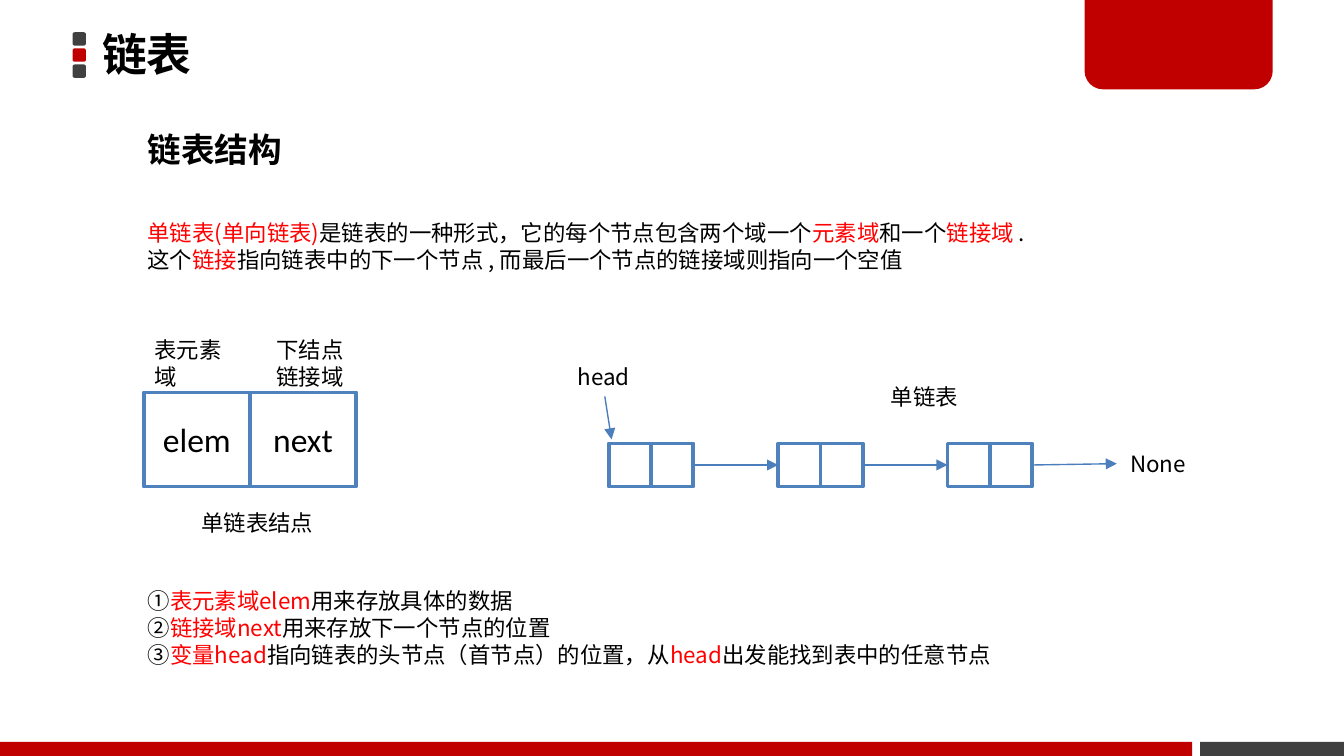
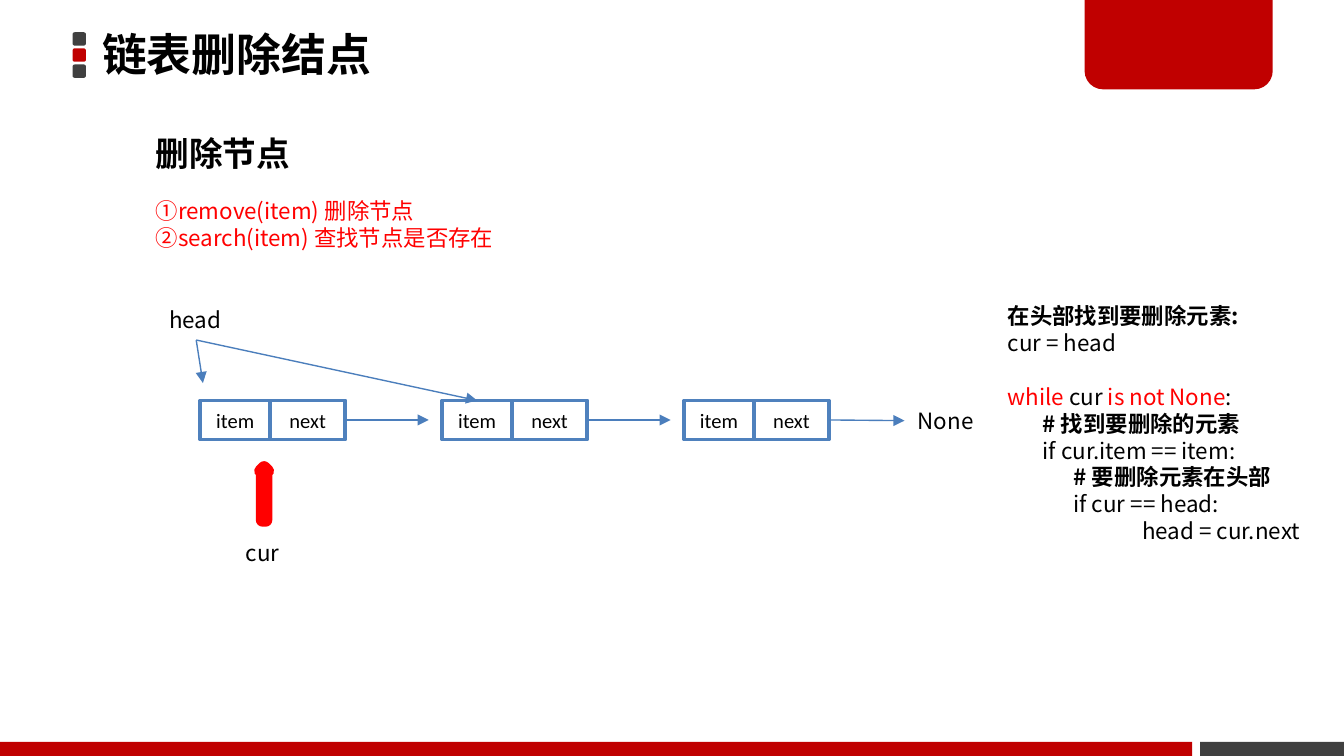
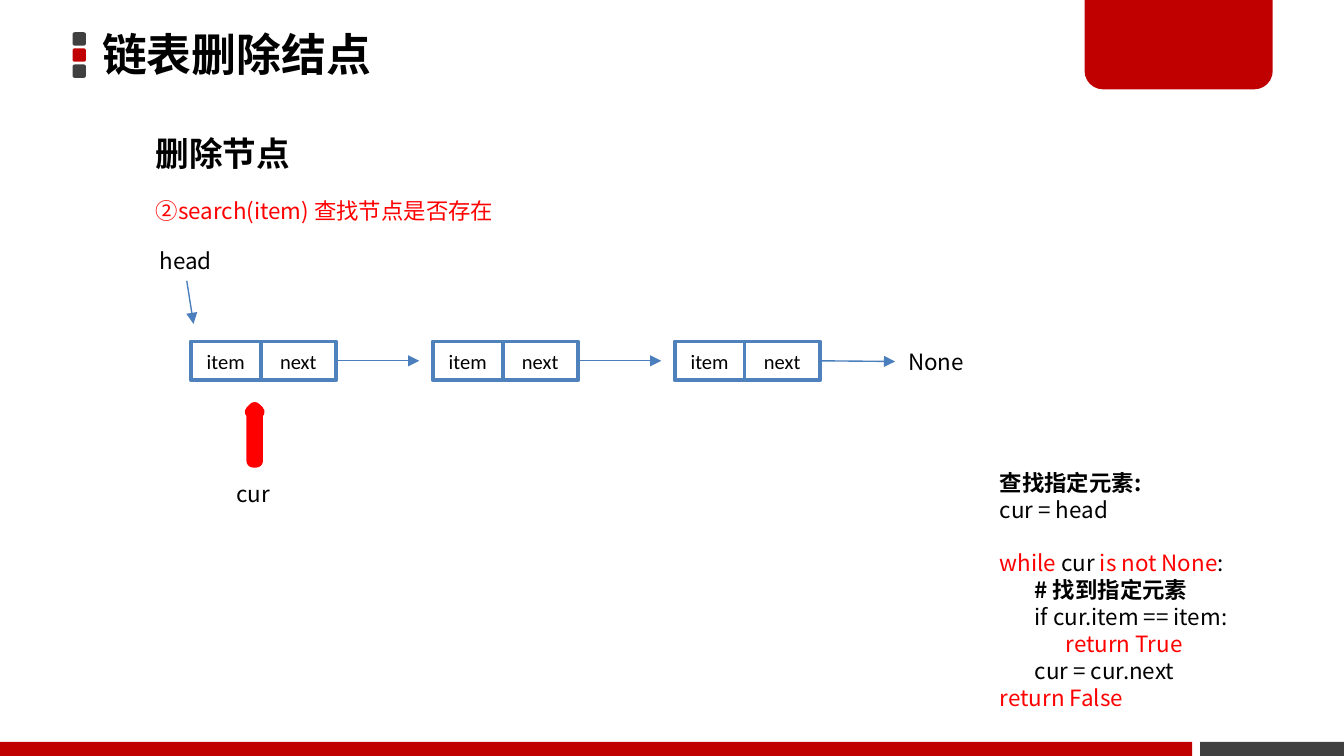
from dataclasses import dataclass

from lxml.etree import SubElement
from pptx import Presentation
from pptx.dml.color import RGBColor
from pptx.enum.shapes import MSO_CONNECTOR, MSO_SHAPE
from pptx.enum.text import MSO_ANCHOR, MSO_AUTO_SIZE, PP_ALIGN
from pptx.oxml.ns import qn
from pptx.util import Inches, Pt

WIDTH, HEIGHT = Inches(10), Inches(5.625)
COLUMNS = 100
UNIT = WIDTH / COLUMNS

BLACK = RGBColor(0x00, 0x00, 0x00)
WHITE = RGBColor(0xFF, 0xFF, 0xFF)
RED = RGBColor(0xFF, 0x00, 0x00)
CRIMSON = RGBColor(0xC0, 0x00, 0x00)
CHARCOAL = RGBColor(0x40, 0x40, 0x40)
NODE_BLUE = RGBColor(0x4F, 0x81, 0xBD)
ARROW_BLUE = RGBColor(0x4B, 0x7E, 0xBC)

BODY_FONT = "Noto Sans CJK SC"
FIELD_FONT = "Calibri"
TOP, LEFT, BOTTOM, RIGHT = range(4)
INDENTS = (0, 2.6, 4.9, 10)
CODE_LINE = Pt(14.4)


@dataclass
class Run:
    text: str
    color: RGBColor = BLACK
    bold: bool = False


@dataclass
class Line:
    runs: list
    level: int = 0
    gap_before: int = 0


def red(text):
    return Run(text, RED)


def bold(text):
    return Run(text, bold=True)


def line(*runs, level=0, gap_before=0):
    return Line([Run(r) if isinstance(r, str) else r for r in runs], level, gap_before)


def grid(*cells):
    return [round(cell * UNIT) for cell in cells]


def write_run(paragraph, content, size, font):
    run = paragraph.add_run()
    run.text = content.text
    run.font.size = Pt(size)
    run.font.name = font
    run.font.bold = content.bold
    run.font.color.rgb = content.color
    SubElement(run.font._element, qn("a:ea")).set("typeface", font)


def write_lines(frame, lines, size, font=BODY_FONT):
    for number, content in enumerate(lines):
        paragraph = frame.add_paragraph() if number else frame.paragraphs[0]
        if content.level:
            margin = grid(INDENTS[content.level])[0]
            paragraph._p.get_or_add_pPr().set("marL", str(margin))
        if content.gap_before:
            paragraph.space_before = content.gap_before
        for run in content.runs:
            write_run(paragraph, run, size, font)


def add_text(slide, box, lines, size=12, wrap=False):
    label = slide.shapes.add_textbox(*grid(*box))
    label.text_frame.word_wrap = wrap
    label.text_frame.auto_size = MSO_AUTO_SIZE.SHAPE_TO_FIT_TEXT
    write_lines(label.text_frame, lines, size)
    return label


def add_block(slide, preset, box, fill):
    block = slide.shapes.add_shape(preset, *grid(*box))
    block.shadow.inherit = False
    block.fill.solid()
    block.fill.fore_color.rgb = fill
    block.line.fill.background()
    return block


def add_field(slide, box, name, size):
    field = add_block(slide, MSO_SHAPE.RECTANGLE, box, WHITE)
    field.line.color.rgb = NODE_BLUE
    field.line.width = Pt(2)
    if name:
        field.text_frame.vertical_anchor = MSO_ANCHOR.MIDDLE
        write_lines(field.text_frame, [line(name)], size, FIELD_FONT)
        field.text_frame.paragraphs[0].alignment = PP_ALIGN.CENTER
    return field


def add_node(slide, left, top, widths, height, names=("", ""), size=11):
    lefts = (left, left + widths[0])
    return [add_field(slide, (x, top, width, height), name, size)
            for x, width, name in zip(lefts, widths, names)]


def add_arrow(slide, source, side, target=None, target_side=None, tip=(0, 0)):
    arrow = slide.shapes.add_connector(MSO_CONNECTOR.STRAIGHT, 0, 0, *grid(*tip))
    arrow.begin_connect(source, side)
    if target is not None:
        arrow.end_connect(target, target_side)
    arrow.line.color.rgb = ARROW_BLUE
    arrow.line.width = Pt(0.75)
    properties = arrow._element.spPr
    SubElement(properties.find(qn("a:ln")), qn("a:tailEnd")).set("type", "triangle")
    SubElement(properties, qn("a:effectLst"))


def add_linked_list(slide, left, top, step, widths, height, none_left,
                    names=("", ""), gap=0):
    nodes = [add_node(slide, left + step * n, top, widths, height, names)
             for n in range(3)]
    none = add_text(slide, (none_left, top, 6.4, 3), [line("None")])
    for number, (item, link) in enumerate(nodes, start=1):
        if number == len(nodes):
            add_arrow(slide, link, RIGHT, none, LEFT)
        elif gap:
            tip = (left + step * number - gap, top + height / 2)
            add_arrow(slide, link, RIGHT, tip=tip)
        else:
            add_arrow(slide, link, RIGHT, nodes[number][0], LEFT)
    return nodes


def add_head(slide, left, top, rise, gap):
    head = add_text(slide, (left - 3.3, top - rise, 6, 3), [line("head")])
    add_arrow(slide, head, BOTTOM, tip=(left + 0.2, top - gap))
    return head


def add_cursor(slide, left, top):
    pointer = slide.shapes.add_shape(
        MSO_SHAPE.UP_ARROW, *grid(left + 4.5, top + 5, 0.5, 3.9))
    pointer.shadow.inherit = False
    pointer.fill.background()
    pointer.line.color.rgb = RED
    pointer.line.width = Pt(7)
    add_text(slide, (left + 2.4, top + 9.8, 4.5, 3), [line("cur")])


def add_item_list(slide, left, top):
    nodes = add_linked_list(slide, left, top, 18, (5.2, 5.6), 2.9, left + 52.4,
                            ("item", "next"), gap=1)
    head = add_head(slide, left, top, rise=7.5, gap=1.3)
    add_cursor(slide, left, top)
    return head, nodes


def start_slide(deck, title):
    slide = deck.slides.add_slide(deck.slide_layouts[6])
    for number, color in enumerate((CHARCOAL, CRIMSON, CHARCOAL)):
        add_block(slide, MSO_SHAPE.ROUNDED_RECTANGLE,
                  (5.4, 2.4 + 1.2 * number, 1, 1), color)
    add_block(slide, MSO_SHAPE.RECTANGLE, (89.3, 55.2, 10.7, 1.05), CHARCOAL)
    add_block(slide, MSO_SHAPE.RECTANGLE, (0, 55.2, 88.7, 1.05), CRIMSON)
    tab = add_block(slide, MSO_SHAPE.ROUND_2_SAME_RECTANGLE,
                    (80.7, -0.2, 14, 6.85), CRIMSON)
    tab.adjustments[0], tab.adjustments[1] = 0, 0.2

    heading = slide.shapes.add_textbox(*grid(6.9, -0.2, 58.9, 8.9)).text_frame
    heading.word_wrap = True
    heading.vertical_anchor = MSO_ANCHOR.MIDDLE
    heading.margin_left, heading.margin_right = grid(0.7, 0.7)
    heading.margin_top, heading.margin_bottom = grid(0.4, 0.4)
    write_lines(heading, [line(bold(title))], 24)
    heading.paragraphs[0].line_spacing = 0.9
    return slide


def add_subtitle(slide, left, top, text):
    add_text(slide, (left, top, 12.1, 4), [line(bold(text))], 18)


def build_structure(deck):
    slide = start_slide(deck, "链表")
    add_subtitle(slide, 10, 9.1, "链表结构")
    add_text(slide, (10, 15.8, 68.5, 5), [
        line(red("单链表(单向链表)"), "是链表的一种形式，它的每个节点包含两个域一个",
             red("元素域"), "和一个", red("链接域 "), "."),
        line("这个", red("链接"),
             "指向链表中的下一个节点 , 而最后一个节点的链接域则指向一个空值"),
    ], wrap=True)

    add_node(slide, 10.7, 29.2, (7.9, 7.9), 7, ("elem", "next"), 18)
    add_text(slide, (10.5, 24.5, 7.1, 5), [line("表元素"), line("域")])
    add_text(slide, (19.6, 24.5, 7.3, 5), [line("下结点"), line("链接域")])
    add_text(slide, (14, 37.4, 10.4, 3), [line("单链表结点")])

    add_linked_list(slide, 45.3, 33, 12.6, (3.15, 3.15), 3.2, 83.1)
    add_head(slide, 45.3, 33, rise=6.5, gap=0.3)
    add_text(slide, (65.3, 28, 7.1, 3), [line("单链表")])

    add_text(slide, (10, 43.2, 65.5, 9.1), [
        line("①", red("表元素域elem"), "用来存放具体的数据"),
        line("②", red("链接域next"), "用来存放下一个节点的位置"),
        line("③", red("变量head"), "指向链表的头节点（首节点）的位置，从",
             red("head"), "出发能找到表中的任意节点"),
    ], wrap=True)


def start_deletion(deck, methods):
    slide = start_slide(deck, "链表删除结点")
    add_subtitle(slide, 10.6, 9.4, "删除节点")
    add_text(slide, (10.6, 14.2, 27.5, 1 + 2 * len(methods)),
             [line(red(method)) for method in methods])
    return slide


def add_code(slide, box, title, search_comment, body):
    add_text(slide, box, [
        line(bold(title)),
        line("cur = head"),
        line(red("while "), "cur ", red("is not None"), ":", gap_before=CODE_LINE),
        line(bold(search_comment), level=1),
        line("if cur.item == item:", level=1),
        *body,
    ], wrap=True)


def build_removal(deck):
    slide = start_deletion(
        deck, ["①remove(item) 删除节点", "②search(item) 查找节点是否存在"])
    head, nodes = add_item_list(slide, 14.9, 29.8)
    add_arrow(slide, head, BOTTOM, nodes[1][0], TOP)
    add_code(slide, (74, 22, 24.6, 19), "在头部找到要删除元素:", "# 找到要删除的元素", [
        line(bold("# 要删除元素在头部"), level=2),
        line("if cur == head:", level=2),
        line("head = cur.next", level=3),
    ])


def build_search(deck):
    slide = start_deletion(deck, ["②search(item) 查找节点是否存在"])
    add_item_list(slide, 14.2, 25.4)
    add_code(slide, (73.4, 34.4, 20.8, 19), "查找指定元素:", "# 找到指定元素", [
        line(red("return True"), level=2),
        line("cur = cur.next", level=1),
        line(red("return False")),
    ])


def main():
    deck = Presentation()
    deck.slide_width, deck.slide_height = WIDTH, HEIGHT
    build_structure(deck)
    build_removal(deck)
    build_search(deck)
    deck.save("out.pptx")


if __name__ == "__main__":
    main()
